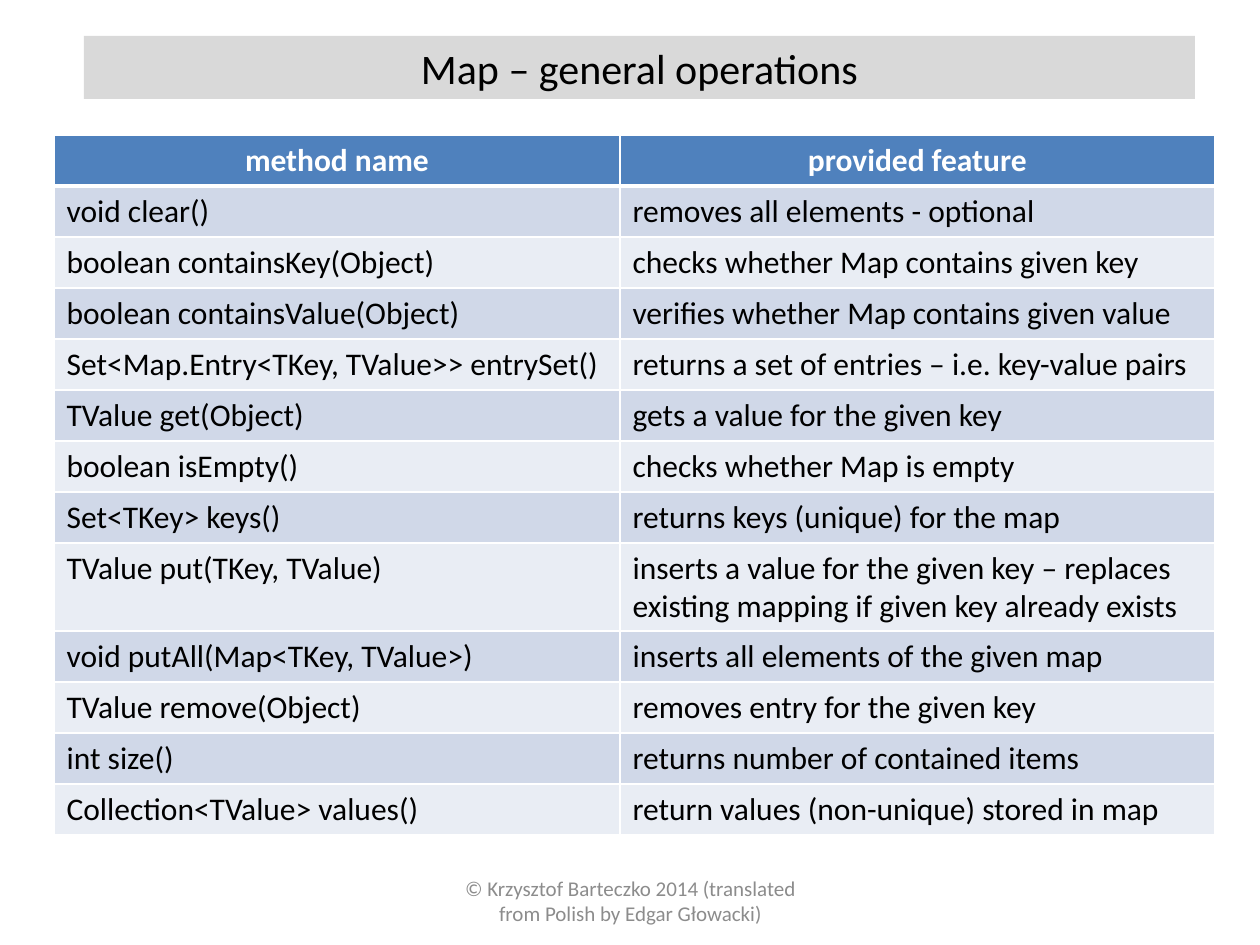
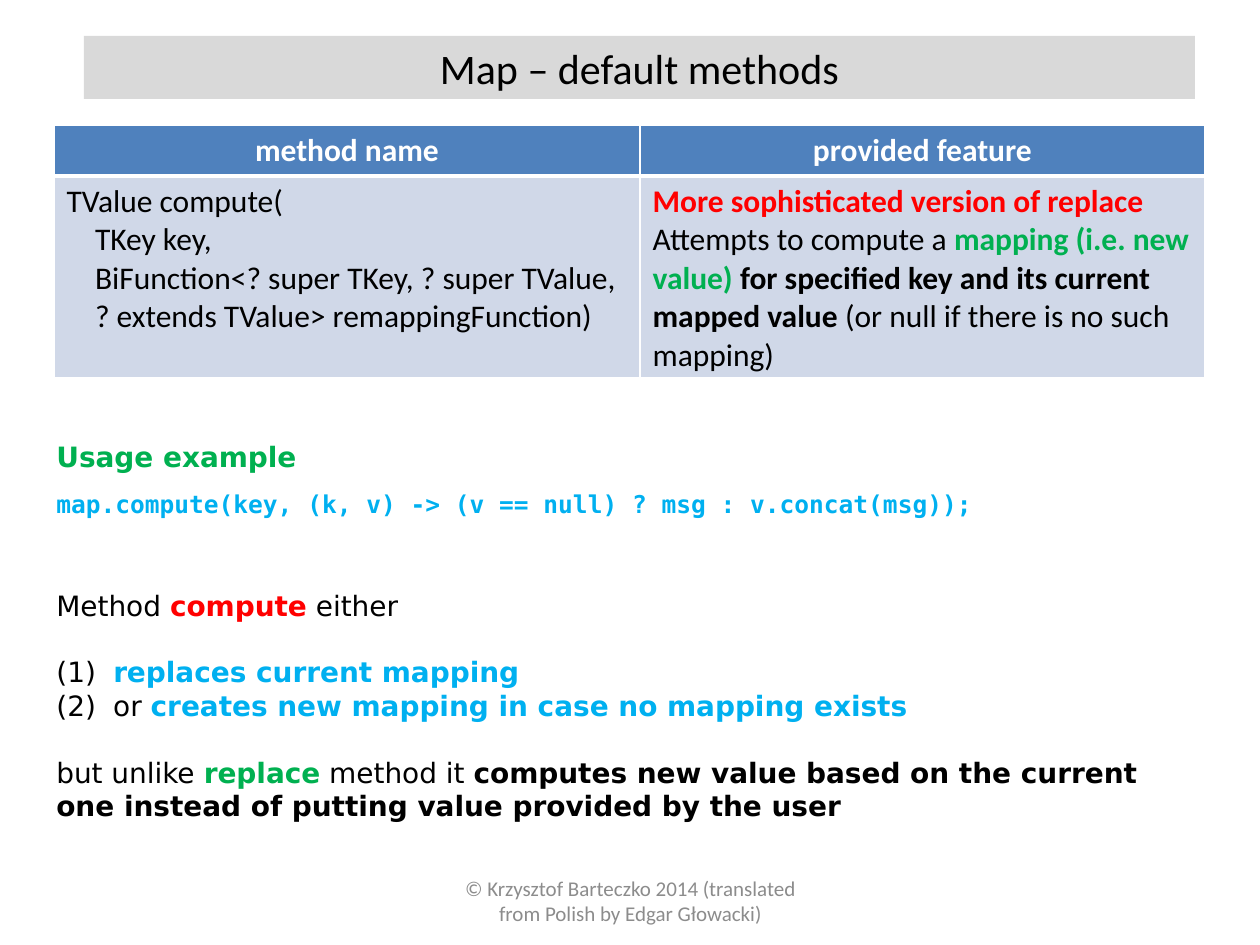
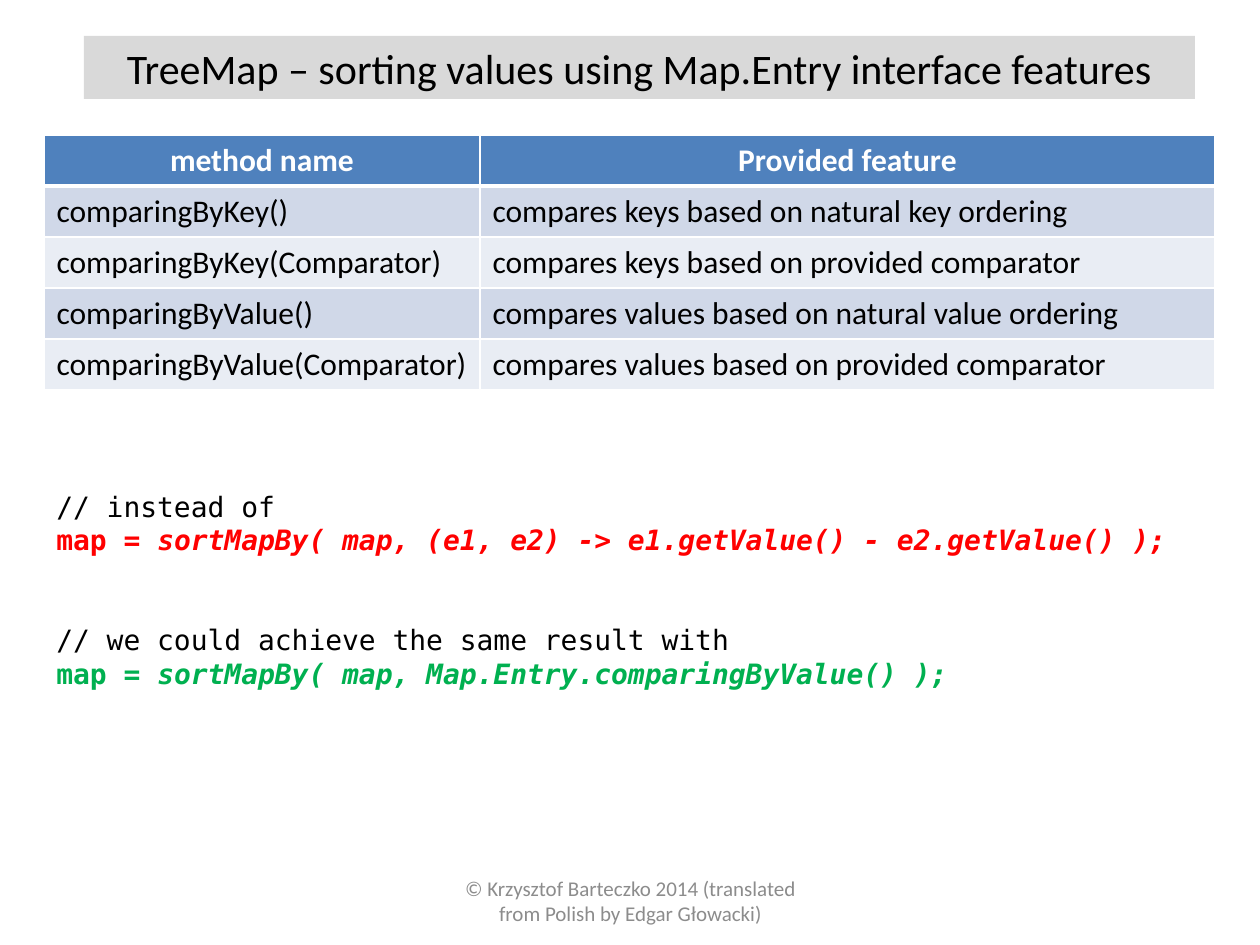
from dataclasses import dataclass
from typing import NamedTuple, Optional

import pptx
import pptx.dml.color
import pptx.enum.shapes
import pptx.enum.text
import pptx.oxml.ns
import pptx.util
from lxml import etree

# Shared look
EMU_PER_PX = 914400 / 126
BLACK, WHITE, GREY = "000000", "FFFFFF", "8C8C8C"
RED, GREEN, BLUE = "FF0000", "00B050", "00B0F0"
TITLE_FILL, HEAD_FILL = "D9D9D9", "4F81BD"
BAND_FILLS = ("D0D8E8", "E9EDF4")
BODY, SANS, MONO = "Calibri", "DejaVu Sans", "DejaVu Sans Mono"
FOOTER = "© Krzysztof Barteczko 2014 (translated from Polish by Edgar Głowacki)"
ROW_H = 51
LINE = 19  # points taken by one skipped line of 16 pt text
CENTER = pptx.enum.text.PP_ALIGN.CENTER
TOP = pptx.enum.text.MSO_ANCHOR.TOP
MIDDLE = pptx.enum.text.MSO_ANCHOR.MIDDLE


class Box(NamedTuple):
    left: int
    top: int
    width: int
    height: int


class Run(NamedTuple):
    text: str
    color: str = BLACK
    bold: bool = False
    italic: bool = False


@dataclass
class Para:
    runs: list[Run]
    before: int = 0
    numbered: bool = False
    centered: bool = False


@dataclass
class Row:
    method: list[Para]
    feature: list[Para]
    height: int = ROW_H


@dataclass
class Grid:
    left: int
    top: int
    widths: tuple[int, int]
    rows: list[Row]
    feature_head: str = "provided feature"


@dataclass
class Note:
    box: Box
    paras: list[Para]
    font: str
    size: int = 16


@dataclass
class Page:
    title: str
    grid: Grid
    notes: list[Note]


TITLE_BOX = Box(84, 36, 1111, 63)
FOOTER_BOX = Box(431, 876, 399, 50)


# Helpers
def px(n: int) -> int:
    return round(n * EMU_PER_PX)


def rgb(value: str) -> pptx.dml.color.RGBColor:
    return pptx.dml.color.RGBColor.from_string(value)


def line(text: str, color: str = BLACK, bold: bool = False,
         centered: bool = False) -> list[Para]:
    return [Para([Run(text, color, bold)], centered=centered)]


def row(method: str, feature: str, height: int = ROW_H) -> Row:
    return Row(line(method), line(feature), height)


def number(p) -> None:
    pPr = p._p.get_or_add_pPr()
    pPr.set("marL", str(px(48)))
    pPr.set("indent", str(-px(48)))
    etree.SubElement(pPr, pptx.oxml.ns.qn("a:buFont"), typeface="+mj-lt")
    etree.SubElement(pPr, pptx.oxml.ns.qn("a:buAutoNum"), type="arabicParenBoth")


def write(tf, paras: list[Para], font: str, size: int) -> None:
    tf.word_wrap = True
    for i, para in enumerate(paras):
        p = tf.paragraphs[0] if i == 0 else tf.add_paragraph()
        if para.numbered:
            number(p)
        if para.before:
            p.space_before = pptx.util.Pt(para.before)
        if para.centered:
            p.alignment = CENTER
        for run in para.runs:
            r = p.add_run()
            r.text = run.text
            r.font.name = font
            r.font.size = pptx.util.Pt(size)
            r.font.color.rgb = rgb(run.color)
            r.font.bold = run.bold
            r.font.italic = run.italic


def add_text(s, note: Note, anchor=TOP) -> None:
    tf = s.shapes.add_textbox(*map(px, note.box)).text_frame
    tf.vertical_anchor = anchor
    write(tf, note.paras, note.font, note.size)


def add_title(s, title: str) -> None:
    rect = pptx.enum.shapes.MSO_SHAPE.RECTANGLE
    sp = s.shapes.add_shape(rect, *map(px, TITLE_BOX))
    sp.shadow.inherit = False
    sp.fill.solid()
    sp.fill.fore_color.rgb = rgb(TITLE_FILL)
    sp.line.fill.background()
    sp.text_frame.vertical_anchor = TOP
    write(sp.text_frame, line(title, centered=True), BODY, 24)


def add_borders(cell, row_index: int) -> None:
    """White rules, with a heavier one between the header and the body."""
    points = {"L": 1, "R": 1, "T": 3 if row_index == 1 else 1,
              "B": 3 if row_index == 0 else 1}
    tcPr = cell._tc.get_or_add_tcPr()
    for side, width in points.items():
        ln = etree.SubElement(tcPr, pptx.oxml.ns.qn(f"a:ln{side}"),
                              w=str(pptx.util.Pt(width)))
        fill = etree.SubElement(ln, pptx.oxml.ns.qn("a:solidFill"))
        etree.SubElement(fill, pptx.oxml.ns.qn("a:srgbClr"), val=WHITE)


def add_grid(s, grid: Grid) -> None:
    head = Row(line("method name", WHITE, True, True),
               line(grid.feature_head, WHITE, True, True))
    rows = [head, *grid.rows]
    box = Box(grid.left, grid.top, sum(grid.widths), sum(r.height for r in rows))
    table = s.shapes.add_table(len(rows), 2, *map(px, box)).table
    for column, width in zip(table.columns, grid.widths):
        column.width = px(width)
    for i, item in enumerate(rows):
        table.rows[i].height = px(item.height)
        for cell, paras in zip(table.rows[i].cells, (item.method, item.feature)):
            add_borders(cell, i)
            cell.fill.solid()
            cell.fill.fore_color.rgb = rgb(BAND_FILLS[(i - 1) % 2] if i else HEAD_FILL)
            write(cell.text_frame, paras, BODY, 18)


def add_page(prs, page: Page) -> None:
    s = prs.slides.add_slide(prs.slide_layouts[6])
    add_text(s, Note(FOOTER_BOX, line(FOOTER, GREY, centered=True), BODY, 12), MIDDLE)
    add_title(s, page.title)
    add_grid(s, page.grid)
    for note in page.notes:
        add_text(s, note)


# Slide 1: general operations
GENERAL = Page("Map – general operations", Grid(54, 135, (566, 595), [
    row("void clear()", "removes all elements - optional"),
    row("boolean containsKey(Object)", "checks whether Map contains given key"),
    row("boolean containsValue(Object)", "verifies whether Map contains given value"),
    row("Set<Map.Entry<TKey, TValue>> entrySet()",
        "returns a set of entries – i.e. key-value pairs"),
    row("TValue get(Object)", "gets a value for the given key"),
    row("boolean isEmpty()", "checks whether Map is empty"),
    row("Set<TKey> keys()", "returns keys (unique) for the map"),
    row("TValue put(TKey, TValue)",
        "inserts a value for the given key – replaces existing mapping "
        "if given key already exists", 88),
    row("void putAll(Map<TKey, TValue>)", "inserts all elements of the given map"),
    row("TValue remove(Object)", "removes entry for the given key"),
    row("int size()", "returns number of contained items"),
    row("Collection<TValue> values()", "return values (non-unique) stored in map"),
]), [])

# Slide 2: default methods
SIGNATURE = ("TValue compute(",
             "    TKey key,",
             "    BiFunction<? super TKey, ? super TValue,",
             "    ? extends TValue> remappingFunction)")
COMPUTE = Row(
    [Para([Run(part)]) for part in SIGNATURE],
    [Para([Run("More sophisticated version of replace", RED, True)]),
     Para([Run("Attempts to compute a "),
           Run("mapping (i.e. new value) ", GREEN, True),
           Run("for specified key and its current mapped value", bold=True),
           Run(" (or null if there is no such mapping)")])],
    202)
DEFAULTS = Page("Map – default methods", Grid(54, 125, (586, 565), [COMPUTE]), [
    Note(Box(44, 433, 1169, 47), line("Usage example", GREEN, True), SANS),
    Note(Box(44, 483, 1159, 43),
         line("map.compute(key, (k, v) -> (v == null) ? msg : v.concat(msg));",
              BLUE, True), MONO, 14),
    Note(Box(44, 582, 1169, 251), [
        Para([Run("Method "), Run("compute", RED, True), Run(" either")]),
        Para([Run(" "), Run("replaces current mapping", BLUE, True)],
             before=LINE, numbered=True),
        Para([Run(" or "),
              Run("creates new mapping in case no mapping exists", BLUE, True)],
             numbered=True),
        Para([Run("but unlike "), Run("replace", GREEN, True), Run(" method it "),
              Run("computes new value based on the current one instead of "
                  "putting value provided by the user", bold=True)], before=LINE),
    ], SANS),
])


# Slide 3: sorting values
def sort_call(call: str, color: str) -> Para:
    return Para([Run("map = ", color, True), Run(call, color, True, True)])


SORTING = Page(
    "TreeMap – sorting values using Map.Entry interface features",
    Grid(44, 135, (436, 735), [
        row("comparingByKey()", "compares keys based on natural key ordering"),
        row("comparingByKey(Comparator)", "compares keys based on provided comparator"),
        row("comparingByValue()", "compares values based on natural value ordering"),
        row("comparingByValue(Comparator)",
            "compares values based on provided comparator"),
    ], "Provided feature"),
    [Note(Box(44, 483, 1171, 217), [
        Para([Run("// instead of")]),
        sort_call("sortMapBy( map, (e1, e2) -> e1.getValue() - e2.getValue() );", RED),
        Para([Run("// we could achieve the same result with")], before=2 * LINE),
        sort_call("sortMapBy( map, Map.Entry.comparingByValue() );", GREEN),
    ], MONO)])


def main() -> None:
    prs = pptx.Presentation()
    prs.slide_width, prs.slide_height = px(1260), px(945)
    for page in (GENERAL, DEFAULTS, SORTING):
        add_page(prs, page)
    prs.save("out.pptx")


if __name__ == "__main__":
    main()
